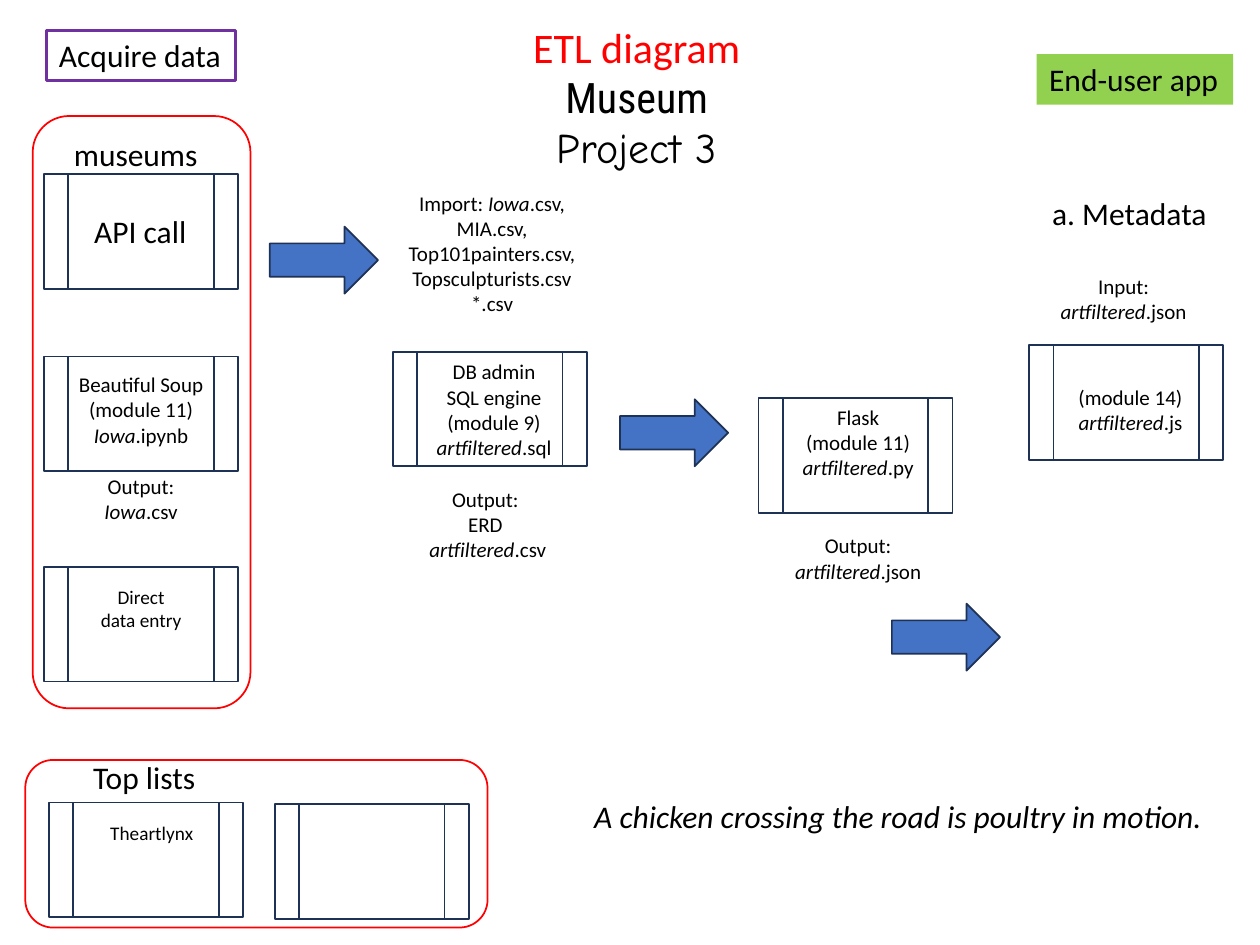
from pptx import Presentation
from pptx.dml.color import RGBColor
from pptx.enum.shapes import MSO_SHAPE
from pptx.enum.text import MSO_ANCHOR, MSO_AUTO_SIZE, PP_ALIGN
from pptx.util import Cm, Pt

PROCESS = MSO_SHAPE.FLOWCHART_PREDEFINED_PROCESS
RECT = MSO_SHAPE.RECTANGLE
ROUNDED = MSO_SHAPE.ROUNDED_RECTANGLE
ARROW = MSO_SHAPE.RIGHT_ARROW
TOP = MSO_ANCHOR.TOP
NO_FIT = MSO_AUTO_SIZE.NONE
LEFT, CENTER = PP_ALIGN.LEFT, PP_ALIGN.CENTER
COLORS = {"navy": "1E3256", "purple": "7030A0", "red": "FF0000",
          "green": "92D050", "blue": "4472C4", "black": "000000"}


def add_box(kind, x, y, w, h, fill=None, line=None, width=1):
    sp = s.shapes.add_shape(kind, Cm(x), Cm(y), Cm(w), Cm(h))
    sp.shadow.inherit = False
    if fill:
        sp.fill.solid()
        sp.fill.fore_color.rgb = RGBColor.from_string(COLORS[fill])
    else:
        sp.fill.background()
    if line:
        sp.line.color.rgb = RGBColor.from_string(COLORS[line])
        sp.line.width = Pt(width)
    else:
        sp.line.fill.background()
    return sp


def write(sp, lines, size, align, wrap, fonts=("Calibri",), colors=("black",)):
    tf = sp.text_frame
    tf.word_wrap = wrap
    tf.auto_size = NO_FIT
    tf.vertical_anchor = TOP
    for i, line in enumerate(lines):
        p = tf.paragraphs[0] if i == 0 else tf.add_paragraph()
        p.alignment = align
        p.font.size = Pt(size)
        p.font.name = fonts[i % len(fonts)]
        p.font.color.rgb = RGBColor.from_string(COLORS[colors[i % len(colors)]])
        for j, part in enumerate(line.split("_")):
            if part:
                r = p.add_run()
                r.text = part
                if j % 2:
                    r.font.italic = True


prs = Presentation()
prs.slide_width, prs.slide_height = Cm(25.4), Cm(19.05)
s = prs.slides.add_slide(prs.slide_layouts[5])

title = s.shapes.title
title.left, title.top, title.width, title.height = Cm(10.36), Cm(0.3), Cm(4.95), Cm(3.33)
write(title, ["ETL diagram", "Museum", "Project 3"], 24, CENTER, False,
      ("Calibri", "Roboto Condensed", "Comic Neue"), ("red", "black", "black"))

for x, y in [(0.89, 3.51), (0.89, 7.19), (0.89, 11.43), (7.92, 7.09),
             (15.29, 8.03), (20.75, 6.96), (0.99, 16.18), (5.54, 16.21)]:
    add_box(PROCESS, x, y, 3.91, 2.31, line="navy")

for x, y, w, h in [(0.66, 2.34, 4.39, 11.94), (0.51, 15.32, 9.32, 3.38)]:
    add_box(ROUNDED, x, y, w, h, line="red")

for x, y in [(5.44, 4.57), (12.5, 8.05), (17.98, 12.17)]:
    add_box(ARROW, x, y, 2.18, 1.35, fill="blue", line="navy")

acquire = add_box(RECT, 0.94, 0.61, 3.81, 1.02, line="purple", width=1.5)
write(acquire, ["Acquire data"], 18, LEFT, False)
end_user = add_box(RECT, 20.9, 1.09, 3.96, 1.02, fill="green")
write(end_user, ["End-user app"], 18, LEFT, False)

headings = [
    (1.65, 4.14, 2.39, "API call"),
    (1.24, 2.59, 3.02, "museums"),
    (1.63, 15.16, 2.59, "Top lists"),
    (20.96, 3.78, 3.66, "a. Metadata"),
    (11.73, 15.95, 13, "_A chicken crossing the road is poultry in motion._"),
]
for x, y, w, text in headings:
    tb = s.shapes.add_textbox(Cm(x), Cm(y), Cm(w), Cm(1.02))
    write(tb, [text], 18, LEFT, False)

details = [
    (1.32, 7.37, 3.05, 1.8, 12, ["Beautiful Soup (module 11)", "_Iowa_.ipynb"]),
    (1.32, 9.42, 3.05, 1.27, 12, ["Output: _Iowa_.csv"]),
    (1.78, 11.68, 2.13, 1.19, 11, ["Direct data entry"]),
    (7.8, 3.71, 4.24, 2.82, 12, ["Import: _Iowa_.csv,", "MIA.csv,", "Top101painters.csv,",
                                 "Topsculpturists.csv", "*.csv"]),
    (8.13, 7.11, 3.66, 2.31, 12, ["DB admin", "SQL engine", "(module 9)", "_artfiltered_.sql"]),
    (8.26, 9.68, 3.05, 1.8, 12, ["Output:", "ERD", " _artfiltered_.csv"]),
    (15.47, 8.03, 3.66, 1.8, 12, ["Flask", "(module 11)", "_artfiltered_.py"]),
    (15.65, 10.62, 3.3, 1.27, 12, ["Output: _artfiltered_.json"]),
    (1.88, 16.43, 2.36, 0.74, 11, ["Theartlynx"]),
    (20.96, 7.62, 3.66, 1.27, 12, ["(module 14)", "_artfiltered_.js"]),
    (21, 5.38, 3.3, 1.27, 12, ["Input: _artfiltered_.json"]),
]
for x, y, w, h, size, lines in details:
    tb = s.shapes.add_textbox(Cm(x), Cm(y), Cm(w), Cm(h))
    write(tb, lines, size, CENTER, True)

prs.save("out.pptx")
